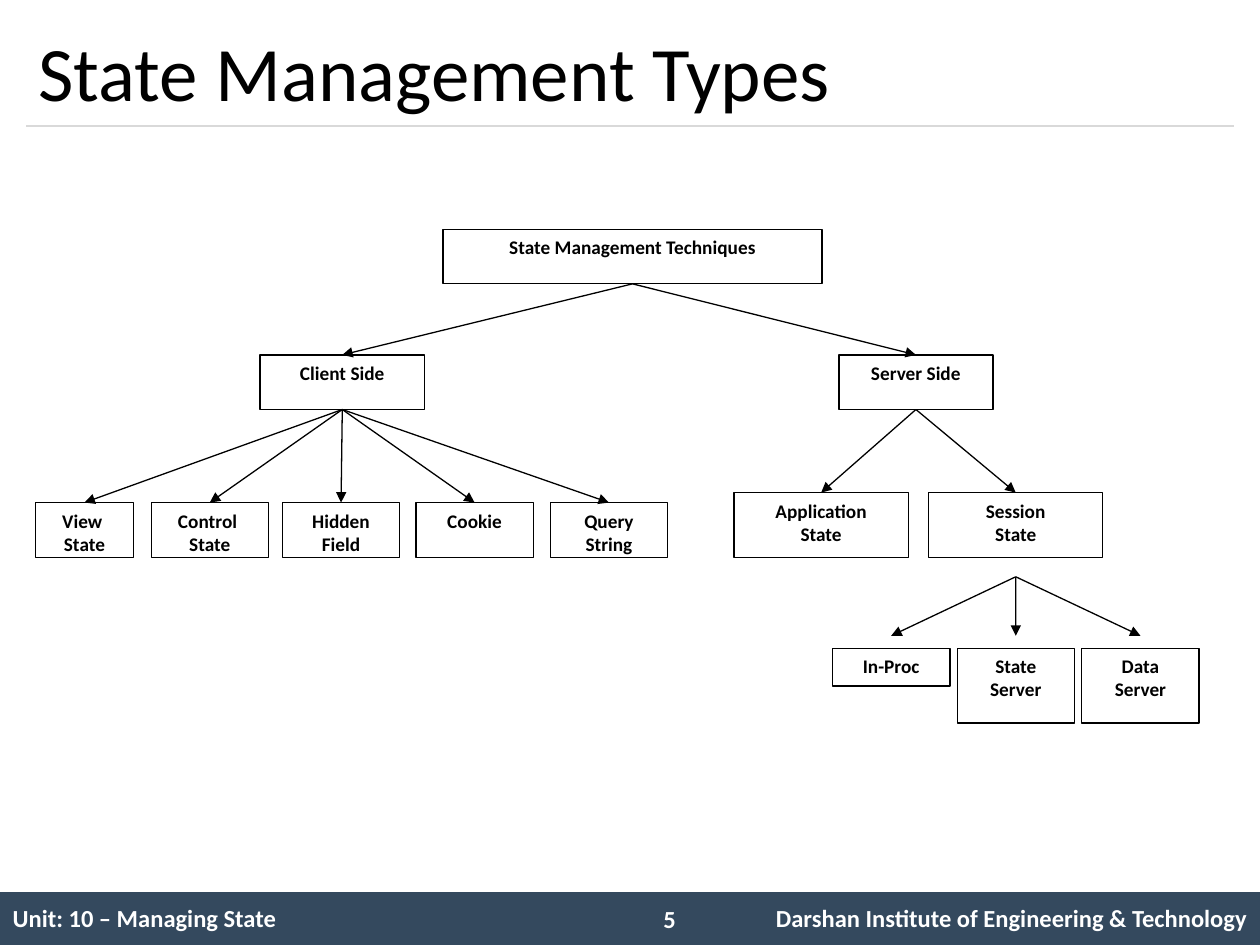
from lxml import etree
from pptx import Presentation
from pptx.dml.color import RGBColor
from pptx.enum.shapes import MSO_CONNECTOR, MSO_SHAPE
from pptx.enum.text import MSO_ANCHOR, MSO_AUTO_SIZE, PP_ALIGN
from pptx.oxml.ns import qn
from pptx.util import Pt

STRAIGHT = MSO_CONNECTOR.STRAIGHT
RECT, PROCESS = MSO_SHAPE.RECTANGLE, MSO_SHAPE.FLOWCHART_PROCESS
TOP, MIDDLE = MSO_ANCHOR.TOP, MSO_ANCHOR.MIDDLE
GROW = MSO_AUTO_SIZE.SHAPE_TO_FIT_TEXT
LEFT, CENTER, RIGHT = PP_ALIGN.LEFT, PP_ALIGN.CENTER, PP_ALIGN.RIGHT

BLACK, WHITE, NAVY, GRAY = "000000", "FFFFFF", "34495E", "D9D9D9"
PLAIN_TABLE = "{2D5ABB26-0587-4C30-8999-92F81FD0307C}"
TITLE = {"size": Pt(44), "name": "Calibri"}
FOOTER = {"size": Pt(14), "name": "Calibri", "bold": True}
LABEL = {"size": Pt(11), "name": "Calibri", "bold": True}

ROOT = ("State Management Techniques", 253.2, 131.2, 216.5, 31)
CLIENT = ("Client Side", 148.5, 202.8, 94.2, 31.2)
SERVER = ("Server Side", 479.4, 202.8, 88, 31.2)
CLIENT_KIDS = [
    ("View \vState", 20.3, 56),
    ("Control \vState", 86.4, 67),
    ("Hidden\vField", 161.4, 67),
    ("Cookie", 237.7, 67),
    ("Query\vString", 314.5, 67),
]
SERVER_KIDS = ["Application\vState", "Session\vState"]
SESSION_KIDS = [("In-Proc", 21.5), ("State\vServer", 42.6), ("Data\vServer", 42.6)]


def color(code):
    return RGBColor.from_string(code)


def points(*sizes):
    return [Pt(size) for size in sizes]


def write(frame, text, style, ink, align=LEFT):
    para = frame.paragraphs[0]
    para.alignment = align
    # A vertical tab in the text becomes a line break.
    para.text = text
    for run in para.runs:
        for key, value in style.items():
            setattr(run.font, key, value)
        run.font.color.rgb = color(ink)


def add_text(slide, area, text, style, ink, anchor=TOP):
    frame = slide.shapes.add_textbox(*points(*area)).text_frame
    frame.word_wrap = True
    frame.vertical_anchor = anchor
    write(frame, text, style, ink)
    return frame


def add_block(slide, kind, area, fill):
    shape = slide.shapes.add_shape(kind, *points(*area))
    shape.shadow.inherit = False
    shape.fill.solid()
    shape.fill.fore_color.rgb = color(fill)
    return shape


def add_node(slide, text, *area):
    node = add_block(slide, PROCESS, area, WHITE)
    node.line.color.rgb = color(BLACK)
    node.line.width = Pt(0.75)
    frame = node.text_frame
    frame.word_wrap = True
    frame.vertical_anchor = TOP
    write(frame, text, LABEL, BLACK, CENTER)
    return node


def add_line(slide, ends, ink):
    line = slide.shapes.add_connector(STRAIGHT, *ends)
    line.line.color.rgb = color(ink)
    line.line.width = Pt(0.75)
    etree.SubElement(line._element.spPr, qn("a:effectLst"))
    return line


def add_arrows(slide, parent, kids, drop=0, lift=0):
    """Point from the parent's foot to each kid's head, with optional gaps."""
    start = parent.left + parent.width // 2
    foot = parent.top + parent.height + Pt(drop)
    for kid in kids:
        end = kid.left + kid.width // 2
        line = add_line(slide, (start, foot, end, kid.top - Pt(lift)), BLACK)
        etree.SubElement(line.line._get_or_add_ln(), qn("a:tailEnd"), type="triangle")


def add_footer(slide):
    bar = add_block(slide, RECT, (0, 509.8, 720, 30.2), NAVY)
    bar.line.fill.background()
    table = slide.shapes.add_table(1, 3, *points(0, 509.8, 720, 30.6)).table
    table.first_row = table.horz_banding = False
    table._tbl.tblPr.find(qn("a:tableStyleId")).text = PLAIN_TABLE
    for column, width in zip(table.columns, (366, 48, 306)):
        column.width = Pt(width)
    for cell in table.iter_cells():
        cell.fill.background()
        cell.vertical_anchor = MIDDLE
    first, last = table.cell(0, 0), table.cell(0, 2)
    write(first.text_frame, "Unit: 10 – Managing State", FOOTER, WHITE)
    write(last.text_frame, "Darshan Institute of Engineering & Technology",
          FOOTER, WHITE, RIGHT)
    page = add_text(slide, (372, 512.8, 42, 24.2), "5", FOOTER, WHITE)
    page.auto_size = GROW


def add_tree(slide):
    root, client, server = [add_node(slide, *node) for node in (ROOT, CLIENT, SERVER)]
    add_arrows(slide, root, [client, server])

    leaves = [add_node(slide, text, left, 287.2, width, 31.2)
              for text, left, width in CLIENT_KIDS]
    add_arrows(slide, client, leaves)

    states = [add_node(slide, text, 419.5 + 111.2 * i, 281.5, 99.5, 36.9)
              for i, text in enumerate(SERVER_KIDS)]
    add_arrows(slide, server, states)

    modes = [add_node(slide, text, 475.8 + 71.2 * i, 370.5, 67, height)
             for i, (text, height) in enumerate(SESSION_KIDS)]
    add_arrows(slide, states[-1], modes, drop=11.2, lift=7.2)


def main():
    deck = Presentation()
    deck.slide_width, deck.slide_height = points(720, 540)
    slide = deck.slides.add_slide(deck.slide_layouts[6])
    add_footer(slide)
    add_line(slide, points(15, 72, 705, 72), GRAY)
    add_text(slide, (15, 9, 690, 63), "State Management Types", TITLE, BLACK, MIDDLE)
    add_tree(slide)
    deck.save("out.pptx")


if __name__ == "__main__":
    main()
